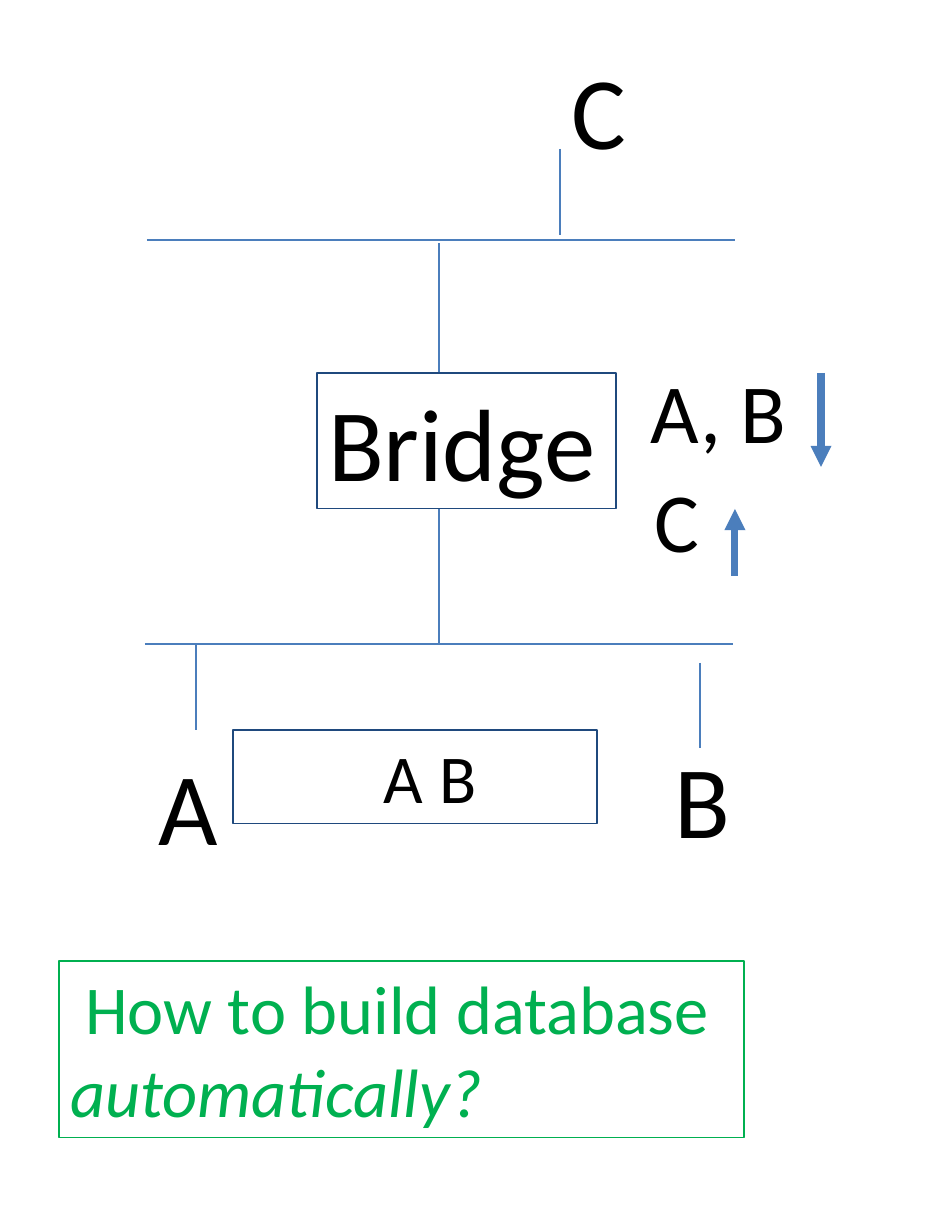
from lxml import etree
from pptx import Presentation, util as u
from pptx.dml.color import RGBColor
from pptx.enum import shapes, text
from pptx.oxml.ns import qn

PX_PER_INCH = 112
FONT = "Calibri"
BLACK, BLUE, NAVY, GREEN = "000000", "4B7EBC", "1F497D", "00B050"

# Content: boxes are (left, top, width, height) in px
# Paragraphs are (text, left indent px, tab stop px, italic)
FRAMES = [
    ((317, 373, 299, 136), NAVY, 66, BLACK, [("Bridge", 0, 0, False)]),
    ((233, 730, 364, 94), NAVY, 44, BLACK, [("A\tB", 139, 208, False)]),
    ((59, 961, 685, 177), GREEN, 44, GREEN,
     [("How to build database", 15, 0, False), ("automatically?", 0, 0, True)]),
]
LABELS = [
    ("A", 147, 737, 140, 136, 66),
    ("B", 663, 730, 140, 136, 66),
    ("C", 560, 41, 140, 136, 66),
    ("A, B", 640, 354, 183, 113, 54),
    ("C", 644, 463, 183, 113, 54),
]
# Lines are (x1, y1, x2, y2) in px
NETWORK_LINES = [
    (147, 240, 735, 240),  # upper segment
    (145, 644, 733, 644),  # lower segment
    (439, 373, 439, 243),  # bridge to upper segment
    (439, 509, 439, 644),  # bridge to lower segment
    (560, 149, 560, 235),  # host C
    (196, 644, 196, 730),  # host A
    (700, 663, 700, 748),  # host B
]
DIRECTION_ARROWS = [(821, 373, 821, 467), (735, 576, 735, 509)]


def px(length):
    return u.Inches(length / PX_PER_INCH)


def color(value):
    return RGBColor.from_string(value)


def write(shape, paragraphs, size, ink):
    frame = shape.text_frame
    frame.word_wrap = True
    frame.vertical_anchor = text.MSO_ANCHOR.TOP
    frame.text = "\n".join(item[0] for item in paragraphs)
    for paragraph, (_, indent, tab, italic) in zip(frame.paragraphs, paragraphs):
        paragraph.alignment = text.PP_ALIGN.LEFT
        properties = paragraph._p.get_or_add_pPr()
        if indent:
            properties.set("marL", str(px(indent)))
            properties.set("indent", "0")
        if tab:
            tabs = etree.SubElement(properties, qn("a:tabLst"))
            etree.SubElement(tabs, qn("a:tab"), pos=str(px(tab)), algn="l")
        for run in paragraph.runs:
            run.font.name = FONT
            run.font.size = u.Pt(size)
            run.font.italic = italic
            run.font.color.rgb = color(ink)


def add_line(slide, points, width, arrow=False):
    line = slide.shapes.add_connector(
        shapes.MSO_CONNECTOR.STRAIGHT, *map(px, points))
    line.line.color.rgb = color(BLUE)
    line.line.width = u.Pt(width)
    if arrow:
        etree.SubElement(line.line._get_or_add_ln(), qn("a:tailEnd"), type="triangle")
    etree.SubElement(line._element.spPr, qn("a:effectLst"))


presentation = Presentation()
presentation.slide_width, presentation.slide_height = u.Inches(8.5), u.Inches(11)
slide = presentation.slides.add_slide(presentation.slide_layouts[6])

# Network and forwarding directions
for points in NETWORK_LINES:
    add_line(slide, points, 0.75)
for points in DIRECTION_ARROWS:
    add_line(slide, points, 4.5, arrow=True)

# Outlined boxes
for box, outline, size, ink, paragraphs in FRAMES:
    shape = slide.shapes.add_shape(shapes.MSO_SHAPE.RECTANGLE, *map(px, box))
    shape.shadow.inherit = False
    shape.fill.background()
    shape.line.color.rgb = color(outline)
    shape.line.width = u.Pt(0.75)
    write(shape, paragraphs, size, ink)

# Host and table labels
for label, *box, size in LABELS:
    write(slide.shapes.add_textbox(*map(px, box)), [(label, 0, 0, False)], size, BLACK)

presentation.save("out.pptx")
